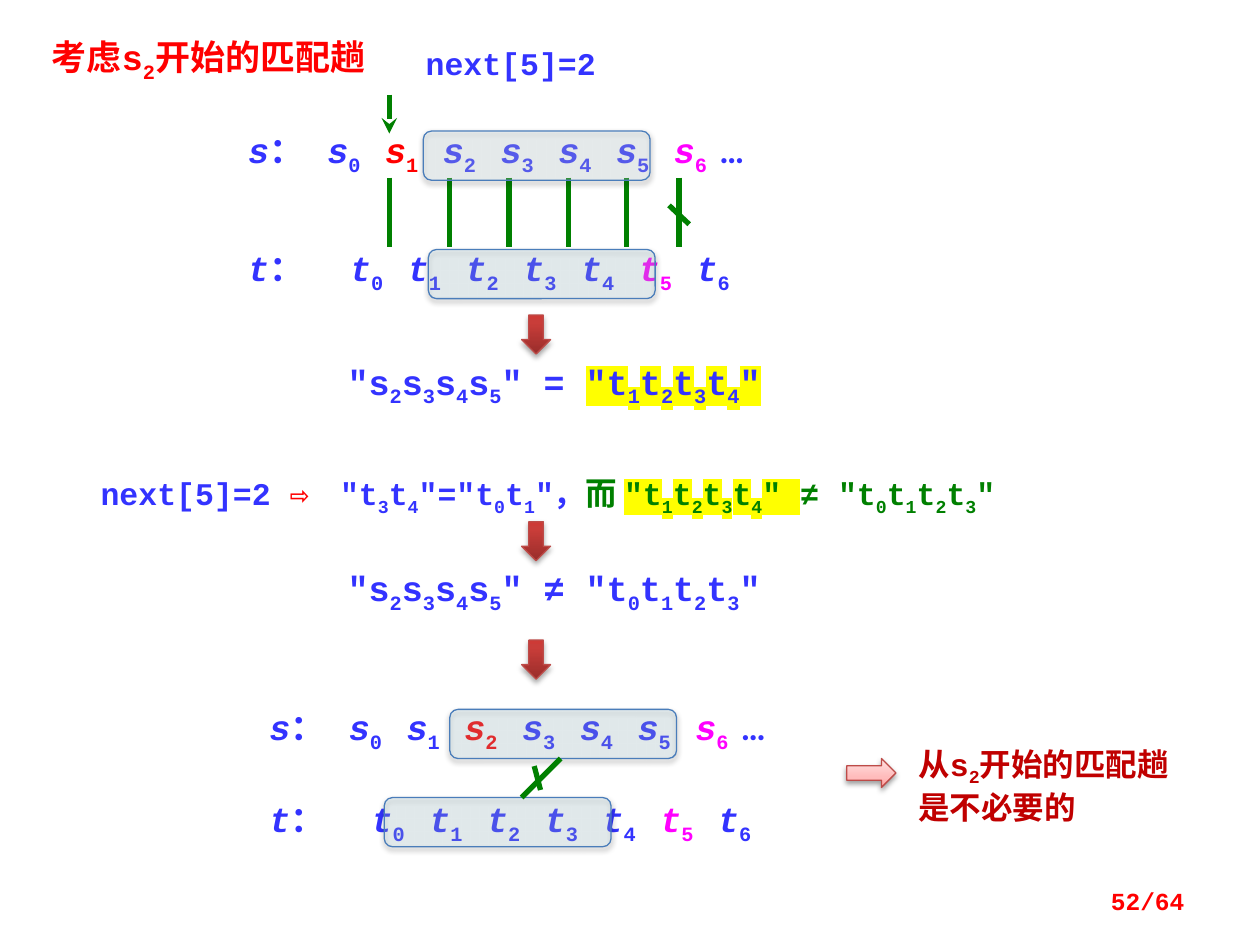
"""Build the KMP matching slide explaining why the pass from s2 can be skipped."""
from lxml import etree
from pptx import Presentation
from pptx.dml.color import RGBColor
from pptx.enum.shapes import MSO_CONNECTOR, MSO_SHAPE
from pptx.enum.text import MSO_ANCHOR, PP_ALIGN
from pptx.oxml import parse_xml
from pptx.oxml.ns import qn
from pptx.util import Inches, Pt

STRAIGHT = MSO_CONNECTOR.STRAIGHT
ROUND, DOWN, RIGHT = MSO_SHAPE.ROUNDED_RECTANGLE, MSO_SHAPE.DOWN_ARROW, MSO_SHAPE.RIGHT_ARROW
TOP, MIDDLE = MSO_ANCHOR.TOP, MSO_ANCHOR.MIDDLE
ALIGN_LEFT, ALIGN_RIGHT = PP_ALIGN.LEFT, PP_ALIGN.RIGHT
DRAWING = "http://schemas.openxmlformats.org/drawingml/2006/main"
FONT = "Courier New"
BLUE, RED, PINK, GREEN, DARK_RED = "3333FF", "FF0000", "FF00FF", "008000", "C00000"
YELLOW = "FFFF00"
PITCH = 2.75 / 6

TITLE = [("考虑s_2开始的匹配趟", RED)]
TEXTS = [
    ((0.7, 3.52, 7.34, 0.46), 18, [
        ("next[5]=2 ", BLUE), ("⇨", RED), (' "t_3t_4"="t_0t_1"，', BLUE), ("而 ", GREEN),
        ('"t_1t_2t_3t_4" ', GREEN, YELLOW), ('≠ "t_0t_1t_2t_3"', GREEN)]),
    ((2.66, 2.81, 3.75, 0.44), 20, [
        ('"s_2s_3s_4s_5" = ', BLUE), ('"t_1t_2t_3t_4"', BLUE, YELLOW)]),
    ((2.66, 4.45, 3.75, 0.44), 20, [('"s_2s_3s_4s_5" ≠ "t_0t_1t_2t_3"', BLUE)]),
    ((7.19, 5.86, 2.42, 0.71), 18, [("从s_2开始的匹配趟是不必要的", DARK_RED)]),
    ((3.28, 0.3, 1.64, 0.4), 18, [("next[5]=2", BLUE)]),
]
SEQUENCES = [
    ("s", 1.87, 0.97, 0.63, {1: RED, 6: PINK}),
    ("t", 1.87, 1.91, 0.81, {5: PINK}),
    ("s", 2.04, 5.55, 0.63, {2: RED, 6: PINK}),
    ("t", 2.04, 6.28, 0.81, {5: PINK}),
]
FRAMES = [(3.36, 1.04, "DAEEF3", 23), (3.4, 1.98, "B6DDE7", 20),
          (3.57, 5.63, "B6DDE7", 20), (3.05, 6.33, "B6DDE7", 20)]
MATCH_X = [3.09, 3.57, 4.04, 4.51, 4.97, 5.39]
MISMATCH_LINES = [(5.31, 1.63, 5.47, 1.78), (4.45, 6.02, 4.14, 6.33), (4.24, 6.08, 4.29, 6.27)]
DEEP_STOPS = [(0, "992D2B"), (80, "C93D39"), (100, "CD3A36")]
PALE_STOPS = [(0, "FFA09D"), (35, "FFBCBC"), (100, "FFE2E2")]
ARROWS = [(DOWN, (4.14, y, 0.23, 0.31), DEEP_STOPS) for y in (2.5, 4.14, 5.08)]
ARROWS.append((RIGHT, (6.72, 6.02, 0.39, 0.23), PALE_STOPS))


def rgb(value):
    return RGBColor.from_string(value)


def sub(parent, tag, **attrs):
    return etree.SubElement(parent, qn(tag), {k: str(v) for k, v in attrs.items()})


def add_run(p, text, size, color, highlight=None, italic=False, lowered=False, font=FONT):
    r = p.add_run()
    r.text = text
    r.font.size, r.font.bold, r.font.italic = Pt(size), True, italic
    r.font.color.rgb = rgb(color)
    rPr = r.font._element
    if highlight:
        sub(sub(rPr, "a:highlight"), "a:srgbClr", val=highlight)
    r.font.name = font
    if lowered:
        rPr.set("baseline", "-25000")


def add_marked(p, size, text, color, highlight=None, italic=False):
    """Write text in which an underscore lowers the next character."""
    first, *rest = text.split("_")
    add_run(p, first, size, color, highlight, italic)
    for part in rest:
        add_run(p, part[0], size, color, highlight, lowered=True)
        if part[1:]:
            add_run(p, part[1:], size, color, highlight, italic)


def place(sp, box):
    sp.left, sp.top, sp.width, sp.height = map(Inches, box)


def add_text(s, box, size=20, segments=()):
    tf = s.shapes.add_textbox(*map(Inches, box)).text_frame
    tf.word_wrap = True
    p = tf.paragraphs[0]
    for segment in segments:
        add_marked(p, size, *segment)
    return p


def add_sequence(s, letter, left, top, start, marks):
    p = add_text(s, (left, top, 4.69 if letter == "s" else 4.45, 0.44))
    tabs = sub(p._p.get_or_add_pPr(), "a:tabLst")
    for i in range(7):
        sub(tabs, "a:tab", pos=Inches(start + i * PITCH), algn="l")
    add_run(p, letter, 20, BLUE, italic=True)
    add_run(p, "：", 20, BLUE)
    for i in range(7):
        add_marked(p, 20, f"\t{letter}_{i}", marks.get(i, BLUE), None, True)
    if letter == "s":
        add_run(p, " ", 20, BLUE, lowered=True)
        add_run(p, "…", 20, BLUE, font="Calibri")


def add_line(s, x1, y1, x2, y2, head=False):
    line = s.shapes.add_connector(STRAIGHT, *map(Inches, (x1, y1, x2, y2)))
    line.line.color.rgb, line.line.width = rgb(GREEN), Pt(3)
    if head:
        sub(line.line._get_or_add_ln(), "a:tailEnd", type="stealth")
    sub(line._element.spPr, "a:effectLst")


def add_shape(s, kind, box, outline, opacity=38, distance=1.6):
    sp = s.shapes.add_shape(kind, *map(Inches, box))
    sp.line.color.rgb, sp.line.width = rgb(outline), Pt(0.75)
    sp.shadow.inherit = False
    effects = sp._element.spPr.find(qn("a:effectLst"))
    shadow = sub(effects, "a:outerShdw", blurRad=Pt(3.1), dist=Pt(distance),
                 dir=90 * 60000, rotWithShape=0)
    sub(sub(shadow, "a:srgbClr", val="000000"), "a:alpha", val=opacity * 1000)
    return sp


def add_frame(s, left, top, color, opacity):
    sp = add_shape(s, ROUND, (left, top, 1.8, 0.39), "4A7DBA")
    sp.fill.solid()
    sp.fill.fore_color.rgb = rgb(color)
    clr = sp._element.spPr.find(qn("a:solidFill"))[0]
    sub(clr, "a:alpha", val=opacity * 1000)


def add_arrow(s, kind, box, stops):
    opacity, distance = (35, 1.8) if kind == DOWN else (38, 1.6)
    sp = add_shape(s, kind, box, "BD4B48", opacity, distance)
    colors = "".join(f'<a:gs pos="{pos * 1000}"><a:srgbClr val="{color}"/></a:gs>'
                     for pos, color in stops)
    grad = parse_xml(f'<a:gradFill xmlns:a="{DRAWING}" rotWithShape="1"><a:gsLst>{colors}'
                     f'</a:gsLst><a:lin ang="{270 * 60000}" scaled="0"/></a:gradFill>')
    sp._element.spPr.find(qn("a:prstGeom")).addnext(grad)


def main():
    prs = Presentation()
    prs.slide_width, prs.slide_height = Inches(10), Inches(7.5)
    s = prs.slides.add_slide(prs.slide_layouts[5])
    title = s.shapes.title
    place(title, (0.31, 0.23, 2.97, 0.44))
    tf = title.text_frame
    tf.word_wrap, tf.vertical_anchor = True, TOP
    tf.paragraphs[0].alignment = ALIGN_LEFT
    for segment in TITLE:
        add_marked(tf.paragraphs[0], 20, *segment)

    for sequence in SEQUENCES:
        add_sequence(s, *sequence)
    for x in MATCH_X:
        add_line(s, x, 1.41, x, 1.96)
    add_line(s, MATCH_X[0], 0.75, MATCH_X[0], 1.06, head=True)
    paragraphs = [add_text(s, *text) for text in TEXTS]
    paragraphs[0].line_spacing = 1.56
    for frame in FRAMES:
        add_frame(s, *frame)
    for arrow in ARROWS:
        add_arrow(s, *arrow)
    for line in MISMATCH_LINES:
        add_line(s, *line)

    p = add_text(s, (7.17, 6.95, 2.33, 0.4), 14, [("52/64", RED)])
    p.alignment = ALIGN_RIGHT
    p._parent.vertical_anchor = MIDDLE
    prs.save("out.pptx")


if __name__ == "__main__":
    main()
